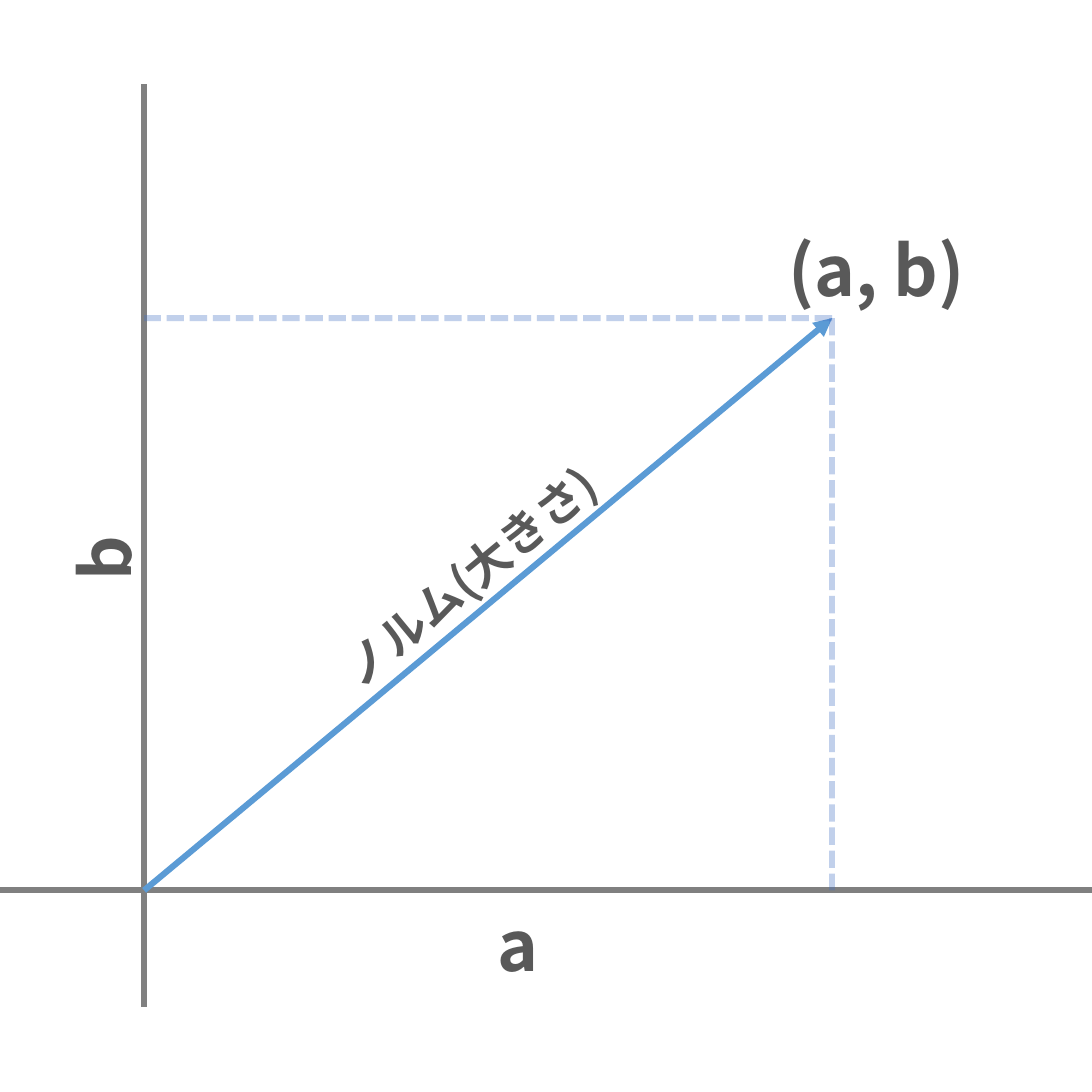
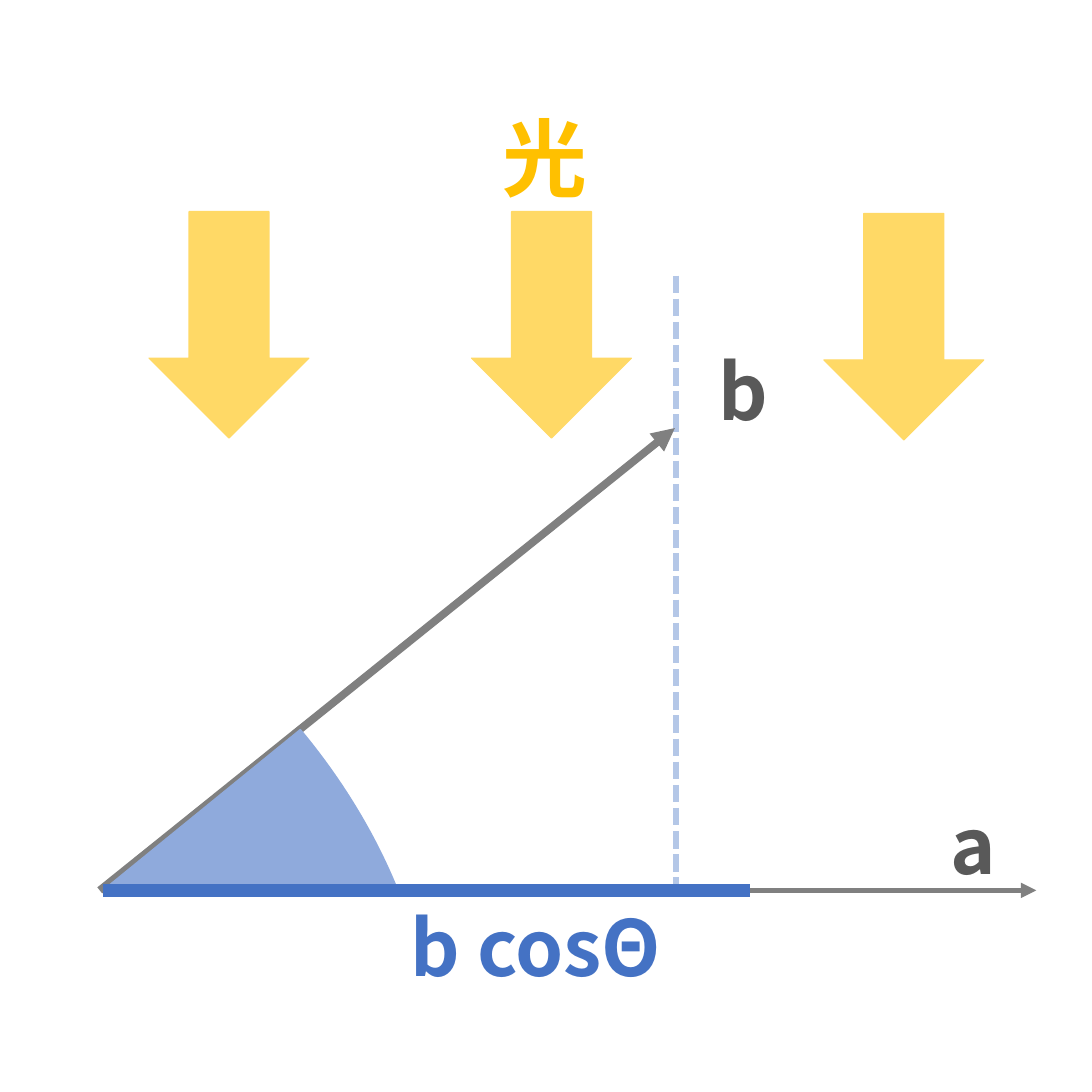
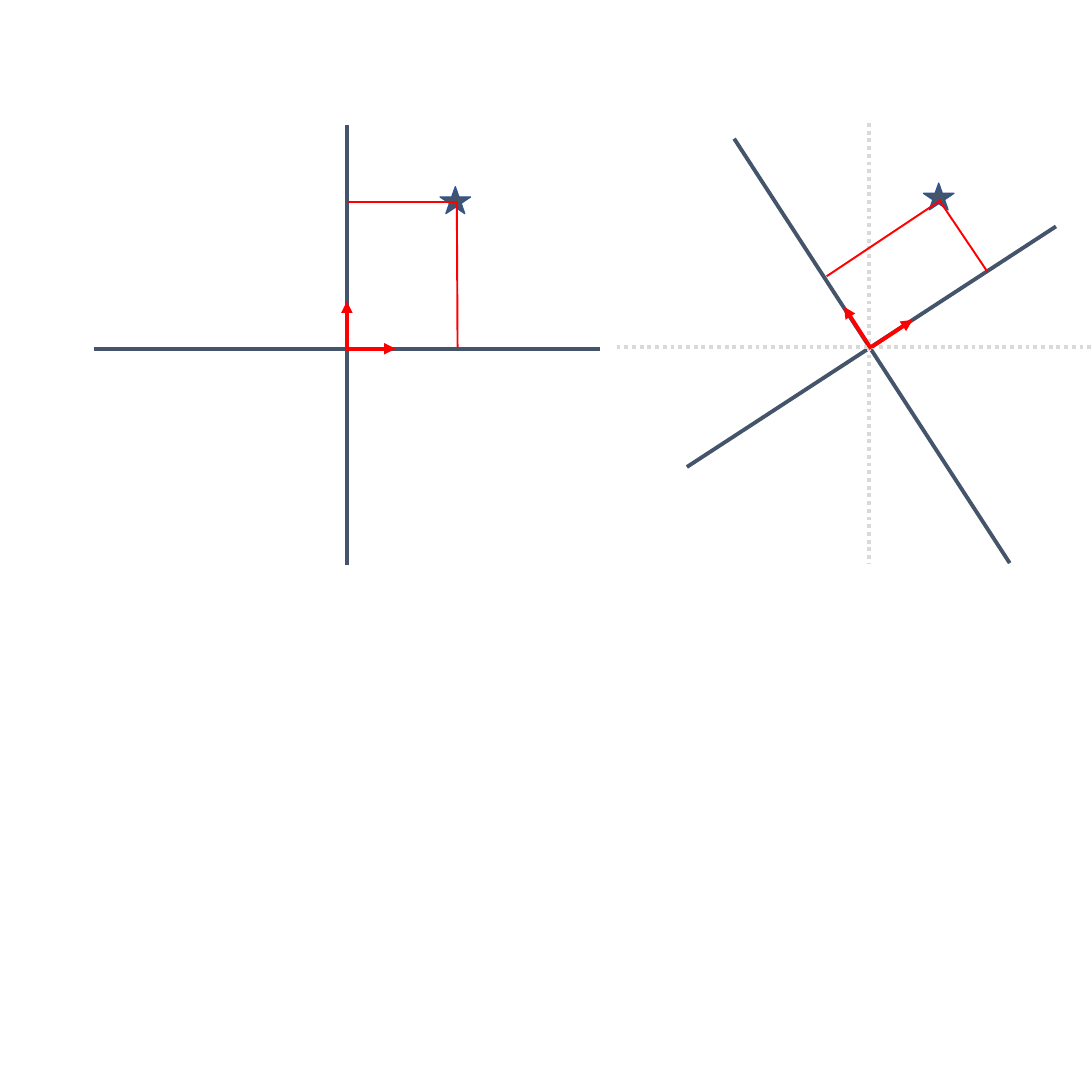
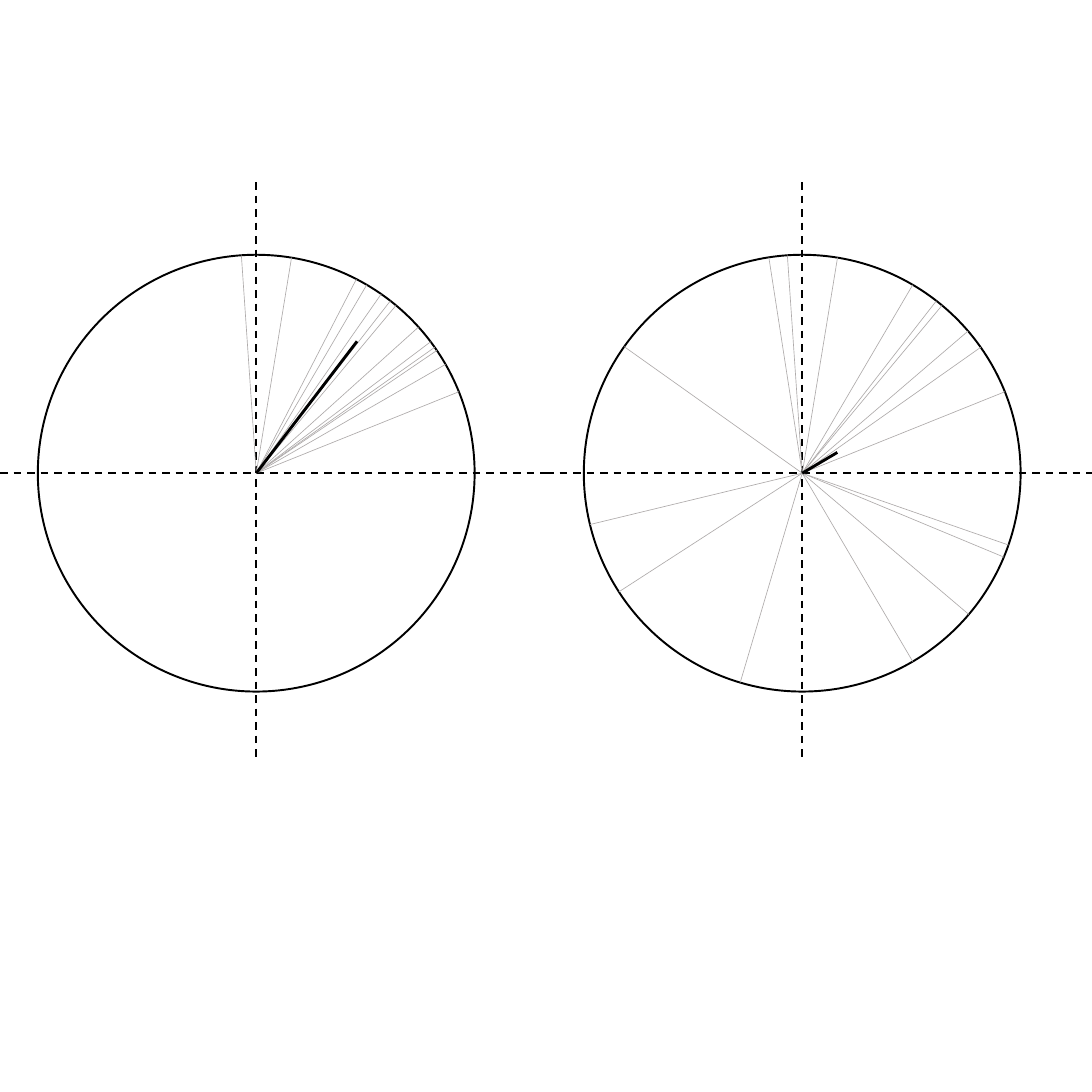
from math import cos, radians, sin

from lxml.etree import SubElement
from pptx import Presentation
from pptx.dml.color import RGBColor
from pptx.enum.dml import MSO_LINE
from pptx.enum.shapes import MSO_CONNECTOR, MSO_SHAPE
from pptx.enum.text import MSO_AUTO_SIZE
from pptx.oxml.ns import qn
from pptx.util import Cm, Pt

STRAIGHT = MSO_CONNECTOR.STRAIGHT
DASH, SHORT, DOT = MSO_LINE.DASH, MSO_LINE.SQUARE_DOT, MSO_LINE.ROUND_DOT
PIE, ARROW = MSO_SHAPE.PIE, MSO_SHAPE.RIGHT_ARROW
STAR, OVAL = MSO_SHAPE.STAR_5_POINT, MSO_SHAPE.OVAL
GROW = MSO_AUTO_SIZE.SHAPE_TO_FIT_TEXT

SIZE = 30
FONT = "Noto Sans CJK JP"
INK, GRAY, NAVY, BLACK = "595959", "808080", "44546A", "000000"
BLUE, SKY, PALE, SOFT = "4472C4", "5B9BD5", "B4C7E7", "8FAADC"
GOLD, SUN, RED, WHITE = "FFC000", "FFD966", "FF0000", "FFFFFF"
MIST, RAY, RIM = "D9D9D9", "AFABAB", "325491"


def color(code):
    return RGBColor.from_string(code)


class Deck:
    """Draws elements on a square grid of SIZE columns and rows."""

    def __init__(self):
        self.show = Presentation()
        self.show.slide_width = self.show.slide_height = Cm(SIZE)
        self.slide = None

    def page(self):
        self.slide = self.show.slides.add_slide(self.show.slide_layouts[6])

    def line(self, start, end, hue, width, dash=None, tip=False, alpha=None):
        ends = [Cm(v) for v in (*start, *end)]
        item = self.slide.shapes.add_connector(STRAIGHT, *ends)
        item.line.color.rgb = color(hue)
        item.line.width = Pt(width)
        if dash:
            item.line.dash_style = dash
        props = item._element.spPr
        if alpha:
            fill = props.find(".//" + qn("a:srgbClr"))
            SubElement(fill, qn("a:alpha"), val=str(alpha * 1000))
        if tip:
            SubElement(props.find(qn("a:ln")), qn("a:tailEnd"), type="triangle")
        SubElement(props, qn("a:effectLst"))

    def shape(self, kind, box, fill, edge, width=1, turn=0, adjust=()):
        item = self.slide.shapes.add_shape(kind, *[Cm(v) for v in box])
        item.shadow.inherit = False
        item.fill.solid()
        item.fill.fore_color.rgb = color(fill)
        item.line.color.rgb = color(edge)
        item.line.width = Pt(width)
        item.rotation = turn
        for i, value in enumerate(adjust):
            item.adjustments[i] = value

    def text(self, words, box, size, hue=INK, turn=0):
        item = self.slide.shapes.add_textbox(*[Cm(v) for v in box])
        item.rotation = turn
        frame = item.text_frame
        frame.word_wrap = True
        frame.auto_size = GROW
        para = frame.paragraphs[0]
        para.text = words
        font = para.font
        font.name, font.size, font.bold = FONT, Pt(size), True
        font.color.rgb = color(hue)
        style = para._p.pPr.find(qn("a:defRPr"))
        SubElement(style, qn("a:ea"), typeface=FONT)

    def cross(self, center, across, down, hue, width, dash=None):
        x, y = center
        self.line((across[0], y), (across[1], y), hue, width, dash)
        self.line((x, down[0]), (x, down[1]), hue, width, dash)

    def spoke(self, center, angle, length, hue, width):
        x, y = center
        turn = radians(angle)
        end = (x + length * cos(turn), y - length * sin(turn))
        self.line(center, end, hue, width)


BASE = 24.46


def norm(deck):
    deck.page()
    origin, tip = (3.96, BASE), (22.86, 8.74)
    deck.cross(origin, (0, SIZE), (2.31, 27.66), GRAY, 4.75)
    deck.line(origin, tip, SKY, 4.75, tip=True)
    for foot in ((tip[0], BASE), (origin[0], tip[1])):
        deck.line(tip, foot, BLUE, 4.5, SHORT, alpha=33)
    deck.text("ノルム(大きさ)", (8.05, 14.02, 11.91, 1.8), 36, turn=320.5)
    deck.text("a", (13.41, 24.66, 8.74, 2.57), 54)
    deck.text("b", (-1.3, 10.74, 8.36, 2.57), 54, turn=270)
    deck.text("(a, b)", (21.41, 6.12, 8.59, 2.57), 54)


def shade(deck):
    deck.page()
    origin = (2.82, BASE)
    deck.line(origin, (28.47, BASE), GRAY, 4, tip=True)
    deck.line((18.57, 7.57), (18.57, BASE), PALE, 4.5, SHORT)
    deck.text("a", (25.86, 21.77, 4.14, 2.82), 60)
    deck.text("b", (19.48, 9.3, 9.45, 2.82), 60)
    deck.text("b cosΘ", (11.02, 24.59, 9.88, 2.82), 60, BLUE)
    deck.line((2.74, BASE), (18.54, 11.76), GRAY, 6, tip=True)
    deck.shape(PIE, (-3.99, 13.28, 13.79, 22.23), SOFT, SOFT,
               turn=319.7, adjust=(0.677, 24.163))
    for x, y in ((3.18, 6.73), (12.04, 6.73), (21.72, 6.78)):
        deck.shape(ARROW, (x, y, 6.22, 4.39), SUN, SUN, turn=90)
    deck.text("光", (13.56, 2.77, 9.88, 3.07), 66, GOLD)
    deck.line(origin, (20.6, BASE), BLUE, 10)


def basis(deck):
    deck.page()
    deck.cross((9.53, 9.58), (2.59, 16.48), (3.43, 15.52), NAVY, 3)
    deck.line((29.01, 6.22), (18.87, 12.83), NAVY, 3)
    deck.line((20.17, 3.81), (27.74, 15.47), NAVY, 3)
    deck.cross((23.88, 9.53), (16.94, SIZE), (3.38, 15.47), MIST, 3, DOT)
    for x, y in ((12.09, 5.13), (25.37, 5.03)):
        deck.shape(STAR, (x, y, 0.84, 0.74), NAVY, RIM)
    guides = (
        ((25.81, 5.51), (27.13, 7.47)), ((25.83, 5.51), (22.71, 7.59)),
        ((9.53, 5.54), (12.57, 5.54)), ((12.55, 5.54), (12.57, 9.53)),
    )
    units = (
        ((9.53, 9.58), (10.87, 9.58)), ((9.53, 9.63), (9.53, 8.28)),
        ((23.95, 9.53), (25.07, 8.79)), ((23.93, 9.58), (23.19, 8.43)),
    )
    for start, end in guides:
        deck.line(start, end, RED, 1.5)
    for start, end in units:
        deck.line(start, end, RED, 3, tip=True)


def spread(deck):
    deck.page()
    radius, y, half = 6, 13, SIZE / 2
    tight = (50.2, 59.6, 55.1, 42, 29.9, 35.2, 52.1, 34.2, 37, 62.7,
             21.9, 93.9, 80.7)
    wide = (50.2, 59.6, -59.6, 212.9, -22.6, 35.2, 52.1, -40.3, 144.6,
            193.6, 21.9, 93.9, 80.7, -19.2, 40.6, 98.8, 253.5)
    groups = ((tight, 52.6, 4.56), (wide, 30.6, 1.12))
    for i, (angles, mean, length) in enumerate(groups):
        left = i * half
        x = left + 7.04
        deck.shape(OVAL, (x - radius, y - radius, 2 * radius, 2 * radius),
                   WHITE, BLACK, 1.5)
        deck.cross((x, y), (left, left + half), (5, 20.85), BLACK, 1.5, DASH)
        for angle in angles:
            deck.spoke((x, y), angle, radius, RAY, 0.5)
        deck.spoke((x, y), mean, length, BLACK, 2.25)


deck = Deck()
for draw in (norm, shade, basis, spread):
    draw(deck)
deck.show.save("out.pptx")
